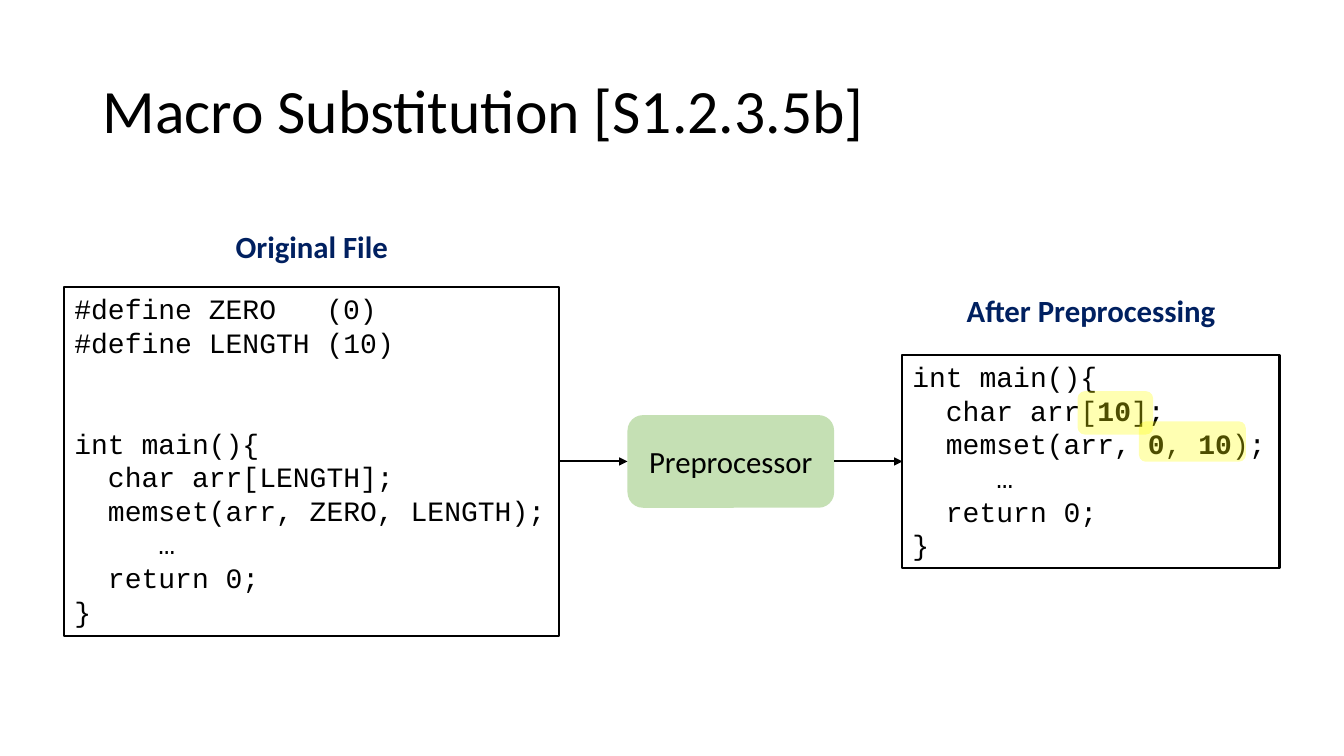
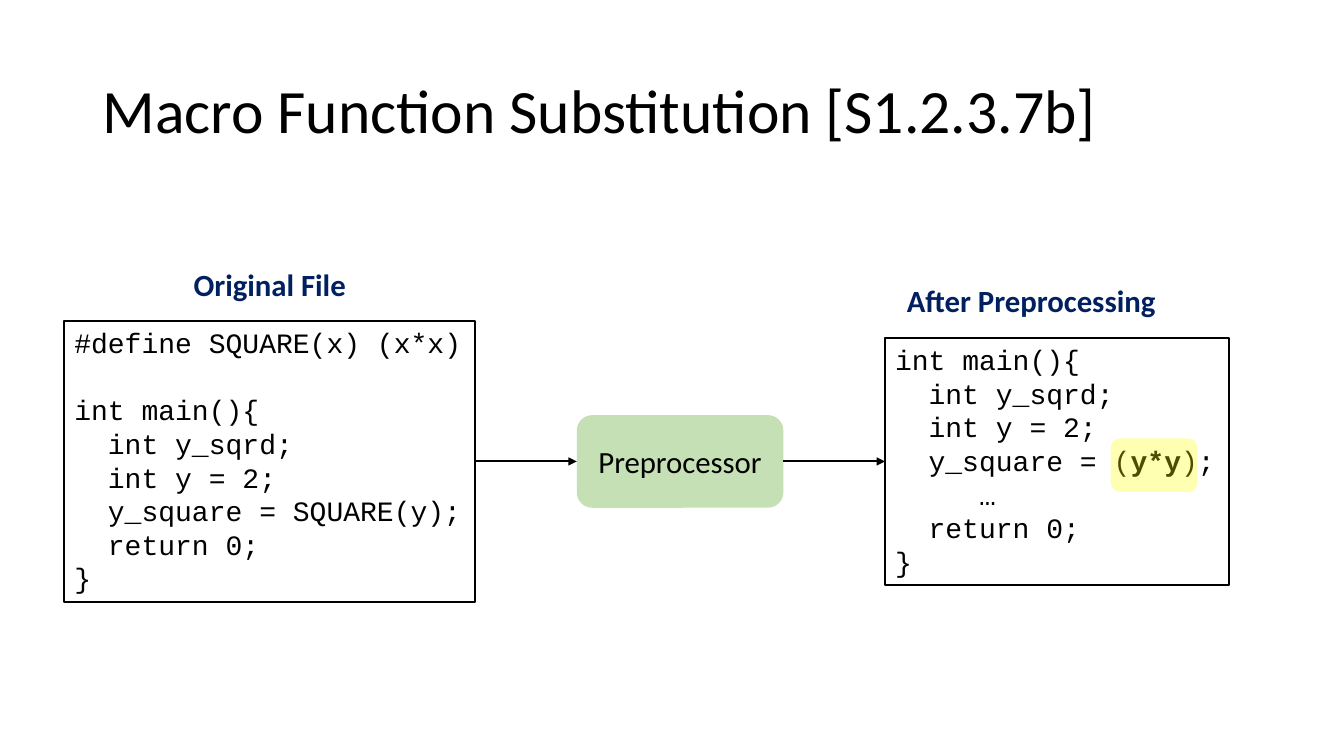
from lxml.etree import SubElement
from pptx import Presentation
from pptx.dml.color import RGBColor
from pptx.enum.shapes import MSO_CONNECTOR, MSO_SHAPE
from pptx.enum.text import MSO_ANCHOR, PP_ALIGN
from pptx.oxml.ns import qn
from pptx.util import Pt

BLACK = RGBColor(0x00, 0x00, 0x00)
NAVY = RGBColor(0x00, 0x20, 0x60)
GREEN = RGBColor(0xC5, 0xE0, 0xB4)
YELLOW = RGBColor(0xFF, 0xFF, 0x00)

SANS, MONO = "Calibri", "Courier New"
CODE_SIZE, CHAR_W, LINE_H = 20, 12, 24
MID_Y = 329.6
LEFT_X = 46
STEP_W, STEP_H = 147.6, 66.2
TAB_STOP = 15 * CHAR_W

SLIDES = [
    {
        "title": "Macro Substitution [S1.2.3.5b]",
        "before": {
            "x": LEFT_X, "label_y": 159.1,
            "code": [
                "#define ZERO\t(0)",
                "#define LENGTH (10)",
                "",
                "",
                "int main(){",
                "  char arr[LENGTH];",
                "  memset(arr, ZERO, LENGTH);",
                "     …",
                "  return 0;",
                "}",
            ],
        },
        "after": {
            "x": 644.6, "label_y": 204.5,
            "code": [
                "int main(){",
                "  char arr[**10**];",
                "  memset(arr, **0**, **10**);",
                "     …",
                "  return 0;",
                "}",
            ],
        },
        "highlights": [(813.6, 301, 76.3, 28.8), (769.7, 279.4, 54, 31)],
    },
    {
        "title": "Macro Function Substitution [S1.2.3.7b]",
        "before": {
            "x": LEFT_X, "label_y": 186.5,
            "code": [
                "#define SQUARE(x) (x*x)",
                "",
                "int main(){",
                "  int y_sqrd;",
                "  int y = 2;",
                "  y_square = SQUARE(y);",
                "  return 0;",
                "}",
            ],
        },
        "after": {
            "x": 632.2, "label_y": 198, "label_shift": -18.4,
            "code": [
                "int main(){",
                "  int y_sqrd;",
                "  int y = 2;",
                "  y_square = (**y*y**);",
                "     …",
                "  return 0;",
                "}",
            ],
        },
        "highlights": [(793.4, 313.2, 61.9, 38.2)],
    },
]


def add_text(p, text, size, font=SANS, color=BLACK, bold=False, align=PP_ALIGN.LEFT):
    p.alignment = align
    for i, part in enumerate(text.split("**")):
        r = p.add_run()
        r.text = part
        r.font.name = font
        r.font.size = Pt(size)
        r.font.bold = bold or i % 2 == 1
        r.font.color.rgb = color


def add_box(s, shape, x, y, w, h, fill=None, line=None):
    sp = s.shapes.add_shape(shape, Pt(x), Pt(y), Pt(w), Pt(h))
    sp.shadow.inherit = False
    if fill is None:
        sp.fill.background()
    else:
        sp.fill.solid()
        sp.fill.fore_color.rgb = fill
    if line is None:
        sp.line.fill.background()
    else:
        sp.line.color.rgb = line
        sp.line.width = Pt(1.5)
    return sp


def add_code(s, x, code):
    w = max(len(line.replace("**", "")) for line in code) * CHAR_W + 17.4
    h = len(code) * 24.24 + 7.2
    sp = add_box(s, MSO_SHAPE.RECTANGLE, x, MID_Y - h / 2, w, h, line=BLACK)
    tf = sp.text_frame
    tf.word_wrap = True
    tf.vertical_anchor = MSO_ANCHOR.TOP
    p, gap = tf.paragraphs[0], 0
    for i, line in enumerate(code):
        if not line:
            gap += LINE_H
            continue
        if i:
            p = tf.add_paragraph()
        text = line.lstrip()
        add_text(p, text, CODE_SIZE, font=MONO)
        p.space_before = Pt(gap)
        gap = 0
        pPr = p._p.get_or_add_pPr()
        pPr.set("marL", str(Pt((len(line) - len(text)) * CHAR_W)))
        pPr.set("indent", "0")
        if "\t" in text:
            tabs = SubElement(pPr, qn("a:tabLst"))
            SubElement(tabs, qn("a:tab"), pos=str(Pt(TAB_STOP)), algn="l")
    return sp, w


def add_label(s, text, center, y, w):
    tf = s.shapes.add_textbox(Pt(center - w / 2), Pt(y), Pt(w), Pt(33.8)).text_frame
    tf.word_wrap = False
    add_text(tf.paragraphs[0], text, 22, color=NAVY, bold=True, align=PP_ALIGN.CENTER)


def add_arrow(s, start, end):
    c = s.shapes.add_connector(MSO_CONNECTOR.STRAIGHT, 0, 0, 0, 0)
    c.begin_connect(start, 3)
    c.end_connect(end, 1)
    c.line.color.rgb = BLACK
    c.line.width = Pt(1.5)
    SubElement(c.line._get_or_add_ln(), qn("a:tailEnd"), type="triangle")
    SubElement(c._element.spPr, qn("a:effectLst"))


def add_highlight(s, x, y, w, h):
    sp = add_box(s, MSO_SHAPE.ROUNDED_RECTANGLE, x, y, w, h, fill=YELLOW)
    color = sp._element.spPr.find(qn("a:solidFill"))[0]
    SubElement(color, qn("a:alpha"), val="30000")


def add_panel(s, caption, label_w, panel):
    sp, w = add_code(s, panel["x"], panel["code"])
    center = panel["x"] + w / 2 + panel.get("label_shift", 0)
    add_label(s, caption, center, panel["label_y"], label_w)
    return sp, w


def build_slide(prs, data):
    s = prs.slides.add_slide(prs.slide_layouts[5])
    title = s.shapes.title
    title.left, title.top, title.width, title.height = Pt(66), Pt(28.8), Pt(828), Pt(104.4)
    title.text_frame.vertical_anchor = MSO_ANCHOR.MIDDLE
    p = title.text_frame.paragraphs[0]
    p.line_spacing = 0.9
    add_text(p, data["title"], 44)

    before, before_w = add_panel(s, "Original File", 124.6, data["before"])
    after, _ = add_panel(s, "After Preprocessing", 195.1, data["after"])
    step_x = (data["before"]["x"] + before_w + data["after"]["x"] - STEP_W) / 2
    step = add_box(s, MSO_SHAPE.ROUNDED_RECTANGLE, step_x, MID_Y - STEP_H / 2,
                   STEP_W, STEP_H, fill=GREEN)
    step.text_frame.vertical_anchor = MSO_ANCHOR.MIDDLE
    add_text(step.text_frame.paragraphs[0], "Preprocessor", 22, align=PP_ALIGN.CENTER)
    add_arrow(s, before, step)
    add_arrow(s, step, after)
    for area in data["highlights"]:
        add_highlight(s, *area)


def main():
    prs = Presentation()
    prs.slide_width, prs.slide_height = Pt(960), Pt(540)
    for data in SLIDES:
        build_slide(prs, data)
    prs.save("out.pptx")


if __name__ == "__main__":
    main()
